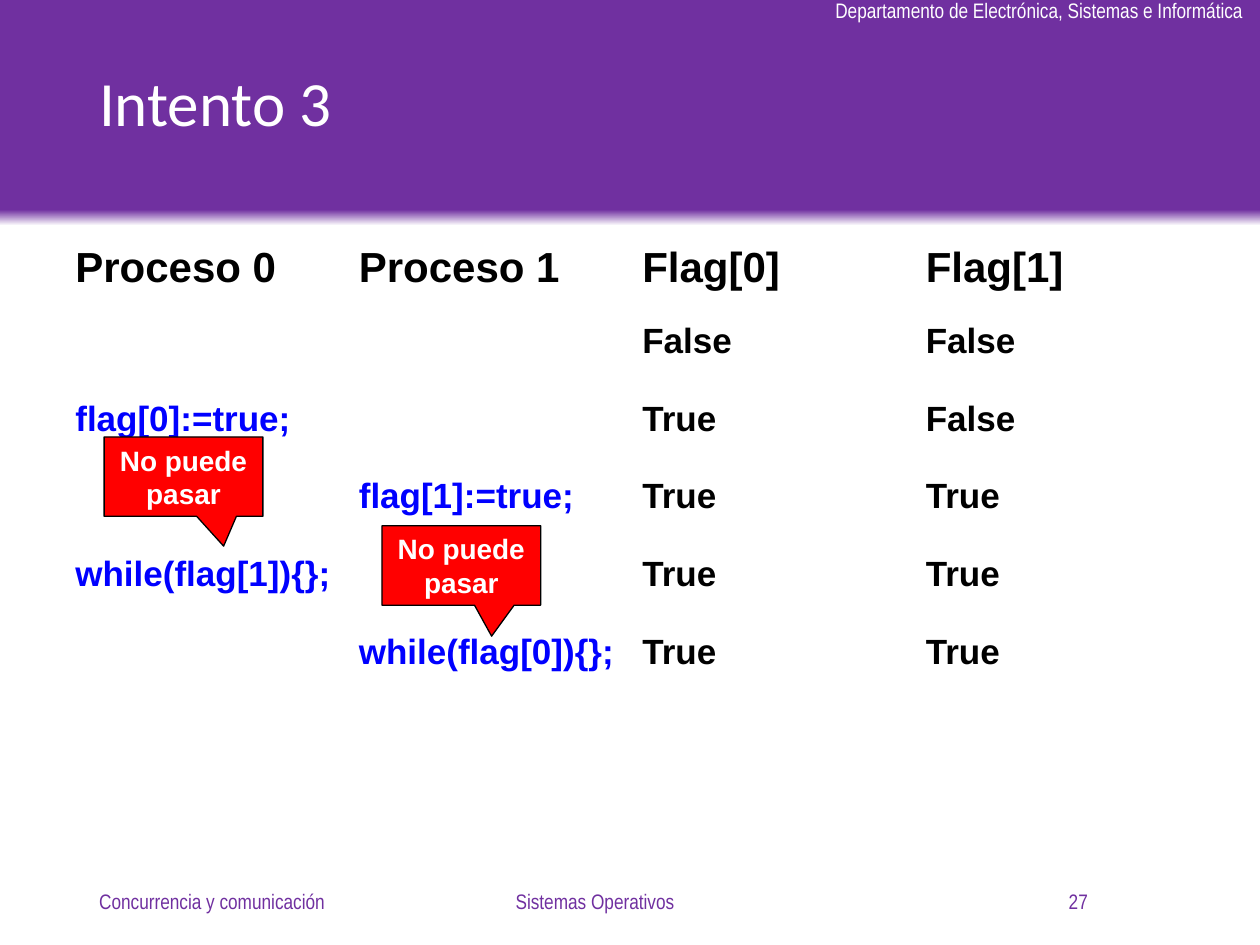
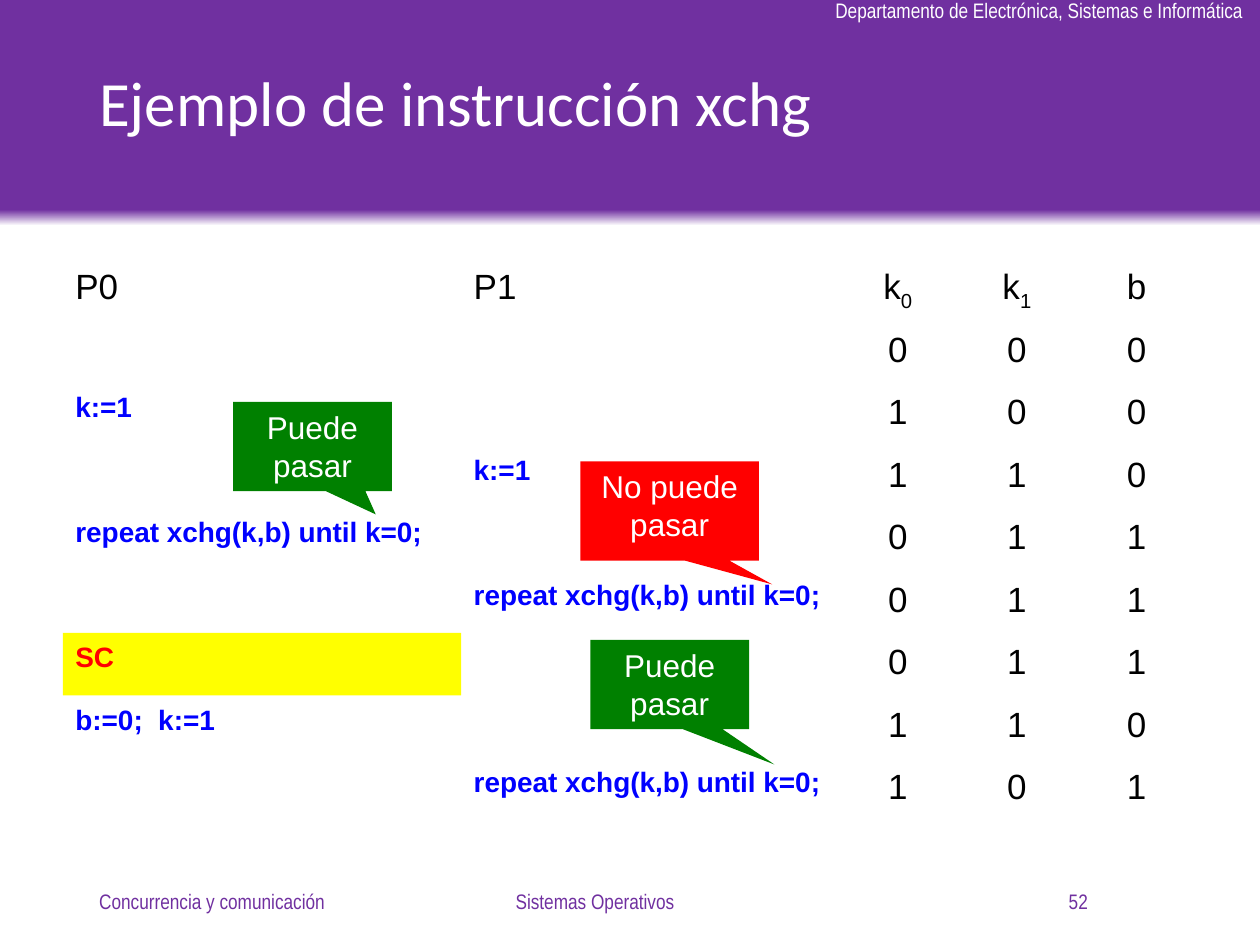
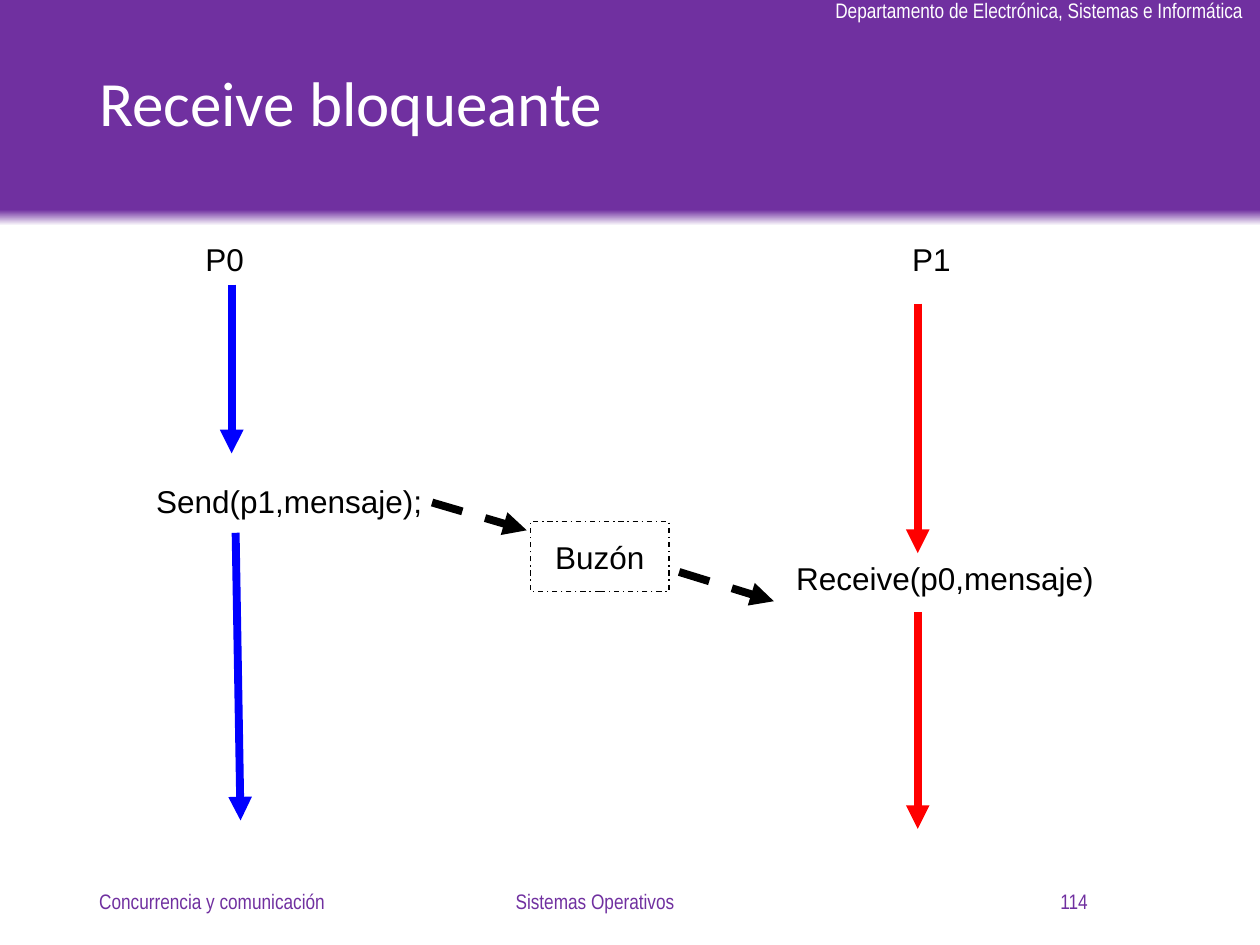
from lxml import etree
from pptx import Presentation
from pptx.dml.color import RGBColor
from pptx.enum.dml import MSO_LINE
from pptx.enum.shapes import MSO_CONNECTOR, MSO_SHAPE
from pptx.enum.text import MSO_ANCHOR, PP_ALIGN
from pptx.oxml.ns import qn
from pptx.util import Cm, Pt

LEFT, CENTER, RIGHT = PP_ALIGN.LEFT, PP_ALIGN.CENTER, PP_ALIGN.RIGHT
TOP, MIDDLE = MSO_ANCHOR.TOP, MSO_ANCHOR.MIDDLE
RECTANGLE, CALLOUT = MSO_SHAPE.RECTANGLE, MSO_SHAPE.RECTANGULAR_CALLOUT
STRAIGHT = MSO_CONNECTOR.STRAIGHT
DASH, DASH_DOT = MSO_LINE.DASH, MSO_LINE.DASH_DOT

PURPLE = RGBColor(0x70, 0x30, 0xA0)
WHITE = RGBColor(0xFF, 0xFF, 0xFF)
BLACK = RGBColor(0x00, 0x00, 0x00)
BLUE = RGBColor(0x00, 0x00, 0xFF)
RED = RGBColor(0xFF, 0x00, 0x00)
GREEN = RGBColor(0x00, 0x80, 0x00)
YELLOW = RGBColor(0xFF, 0xFF, 0x00)


def write(shape, text, size, color=BLACK, bold=False, align=LEFT,
          font="Arial", anchor=TOP, wrap=True, subscript=""):
    frame = shape.text_frame
    frame.word_wrap = wrap
    frame.vertical_anchor = anchor
    paragraph = frame.paragraphs[0]
    paragraph.alignment = align
    for part in filter(None, (text, subscript)):
        run = paragraph.add_run()
        run.text = part
        run.font.name = font
        run.font.size = Pt(size)
        run.font.bold = bold
        run.font.color.rgb = color
    if subscript:
        run.font._element.set("baseline", "-25000")
    return paragraph


def add_text(slide, left, top, width, height, text, size, **style):
    box = slide.shapes.add_textbox(Cm(left), Cm(top), Cm(width), Cm(height))
    return write(box, text, size, **style)


prs = Presentation()
prs.slide_width, prs.slide_height = Cm(25.4), Cm(19.05)

slides = []
for title, number in (("Intento 3", "27"),
                      ("Ejemplo de instrucción xchg", "52"),
                      ("Receive bloqueante", "114")):
    slide = prs.slides.add_slide(prs.slide_layouts[6])
    slides.append(slide)
    band = slide.shapes.add_shape(RECTANGLE, 0, 0, prs.slide_width, Cm(4.55))
    band.shadow.inherit = False
    band.line.fill.background()
    band.fill.gradient()
    band.fill.gradient_angle = 90
    fade_start, fade_end = band.fill.gradient_stops
    fade_start.color.rgb = WHITE
    fade_end.color.rgb = PURPLE
    fade_end.position = 0.07
    add_text(slide, 16.59, -0.18, 8.84, 0.76,
             "Departamento de Electrónica, Sistemas e Informática", 12,
             color=WHITE, font="Arial Narrow", wrap=False)
    heading = add_text(slide, 1.75, 0.38, 21.9, 3.53, title, 36,
                       color=WHITE, font="Calibri", anchor=MIDDLE)
    heading.line_spacing = 0.9
    for left, width, text, align in (
            (1.75, 5.72, "Concurrencia y comunicación", LEFT),
            (7.7, 8.59, "Sistemas Operativos", CENTER),
            (16.46, 5.72, number, RIGHT)):
        add_text(slide, left, 17.65, width, 1.02, text, 12, color=PURPLE,
                 font="Arial Narrow", align=align, anchor=MIDDLE)

attempt, exchange, receive = slides

attempt_rows = (
    ("Proceso 0", "Proceso 1", "Flag[0]", "Flag[1]"),
    ("", "", "False", "False"),
    ("flag[0]:=true;", "", "True", "False"),
    ("", "flag[1]:=true;", "True", "True"),
    ("while(flag[1]){};", "", "True", "True"),
    ("", "while(flag[0]){};", "True", "True"),
)
for row, cells in enumerate(attempt_rows):
    for column, text in enumerate(cells):
        if text:
            add_text(attempt, 1.27 + 5.715 * column, 4.72 + 1.57 * row,
                     5.72, 1.57, text, 24 if row == 0 else 20, bold=True,
                     color=BLUE if row and column < 2 else BLACK)

critical_section = exchange.shapes.add_shape(
    RECTANGLE, Cm(1.27), Cm(12.76), Cm(8.03), Cm(1.26))
critical_section.shadow.inherit = False
critical_section.fill.solid()
critical_section.fill.fore_color.rgb = YELLOW
critical_section.line.fill.background()
write(critical_section, "SC", 16, color=RED, bold=True)

exchange_columns = ((1.27, 8.03), (9.3, 7.6), (16.9, 2.4),
                    (19.3, 2.4), (21.7, 2.43))
exchange_rows = (
    ("P0", "P1", "k", "k", "b"),
    ("", "", "0", "0", "0"),
    ("k:=1", "", "1", "0", "0"),
    ("", "k:=1", "1", "1", "0"),
    ("repeat xchg(k,b) until k=0;", "", "0", "1", "1"),
    ("", "repeat xchg(k,b) until k=0;", "0", "1", "1"),
    ("", "", "0", "1", "1"),
    ("b:=0;  k:=1", "", "1", "1", "0"),
    ("", "repeat xchg(k,b) until k=0;", "1", "0", "1"),
)
for row, cells in enumerate(exchange_rows):
    for column, (text, (left, width)) in enumerate(zip(cells, exchange_columns)):
        if text:
            is_code = row > 0 and column < 2
            add_text(exchange, left, 5.21 + 1.26 * row, width, 1.26, text,
                     16 if is_code else 20, bold=is_code,
                     color=BLUE if is_code else BLACK,
                     align=LEFT if column < 2 else CENTER,
                     subscript=str(column - 2) if text == "k" else "")

for slide, left, top, width, height, tip, color, text in (
        (attempt, 2.1, 8.81, 3.2, 1.6, (0.253, 0.875), RED, "No puede pasar"),
        (attempt, 7.7, 10.6, 3.2, 1.6, (0.191, 0.891), RED, "No puede pasar"),
        (exchange, 4.7, 8.1, 3.2, 1.8, (0.399, 0.762), GREEN, "Puede pasar"),
        (exchange, 11.7, 9.3, 3.6, 2, (0.575, 0.741), RED, "No puede pasar"),
        (exchange, 11.9, 12.9, 3.2, 1.8, (0.66, 0.896), GREEN, "Puede pasar")):
    callout = slide.shapes.add_shape(CALLOUT, Cm(left), Cm(top), Cm(width), Cm(height))
    callout.shadow.inherit = False
    callout.adjustments[0], callout.adjustments[1] = tip
    callout.fill.solid()
    callout.fill.fore_color.rgb = color
    outlined = slide is attempt
    if outlined:
        callout.line.color.rgb = BLACK
        callout.line.width = Pt(0.75)
    else:
        callout.line.fill.background()
    write(callout, text, 16 if outlined else 18, color=WHITE,
          bold=outlined, align=CENTER)

for left, top, width, text in ((3.89, 4.72, 1.3, "P0"),
                               (18.14, 4.72, 1.3, "P1"),
                               (2.9, 9.6, 5.87, "Send(p1,mensaje);"),
                               (15.8, 11.15, 6.5, "Receive(p0,mensaje)")):
    add_text(receive, left, top, width, 1.02, text, 18, wrap=False)

mailbox = receive.shapes.add_shape(RECTANGLE, Cm(10.69), Cm(10.52), Cm(2.8), Cm(1.4))
mailbox.shadow.inherit = False
mailbox.fill.background()
mailbox.line.color.rgb = BLACK
mailbox.line.width = Pt(0.75)
mailbox.line.dash_style = DASH_DOT
write(mailbox, "Buzón", 18, align=CENTER, anchor=MIDDLE, wrap=False)

for x1, y1, x2, y2, color in ((4.67, 5.74, 4.67, 9.14, BLUE),
                              (18.5, 6.12, 18.5, 11.15, RED),
                              (4.75, 10.74, 4.85, 16.54, BLUE),
                              (18.5, 12.34, 18.5, 16.71, RED),
                              (8.71, 10.13, 10.62, 10.69, BLACK),
                              (13.69, 11.53, 15.6, 12.12, BLACK)):
    arrow = receive.shapes.add_connector(STRAIGHT, Cm(x1), Cm(y1), Cm(x2), Cm(y2))
    arrow.line.color.rgb = color
    arrow.line.width = Pt(4.5)
    if color == BLACK:
        arrow.line.dash_style = DASH
    properties = arrow._element.spPr
    etree.SubElement(properties.find(qn("a:ln")), qn("a:tailEnd"), type="triangle")
    etree.SubElement(properties, qn("a:effectLst"))

prs.save("out.pptx")
